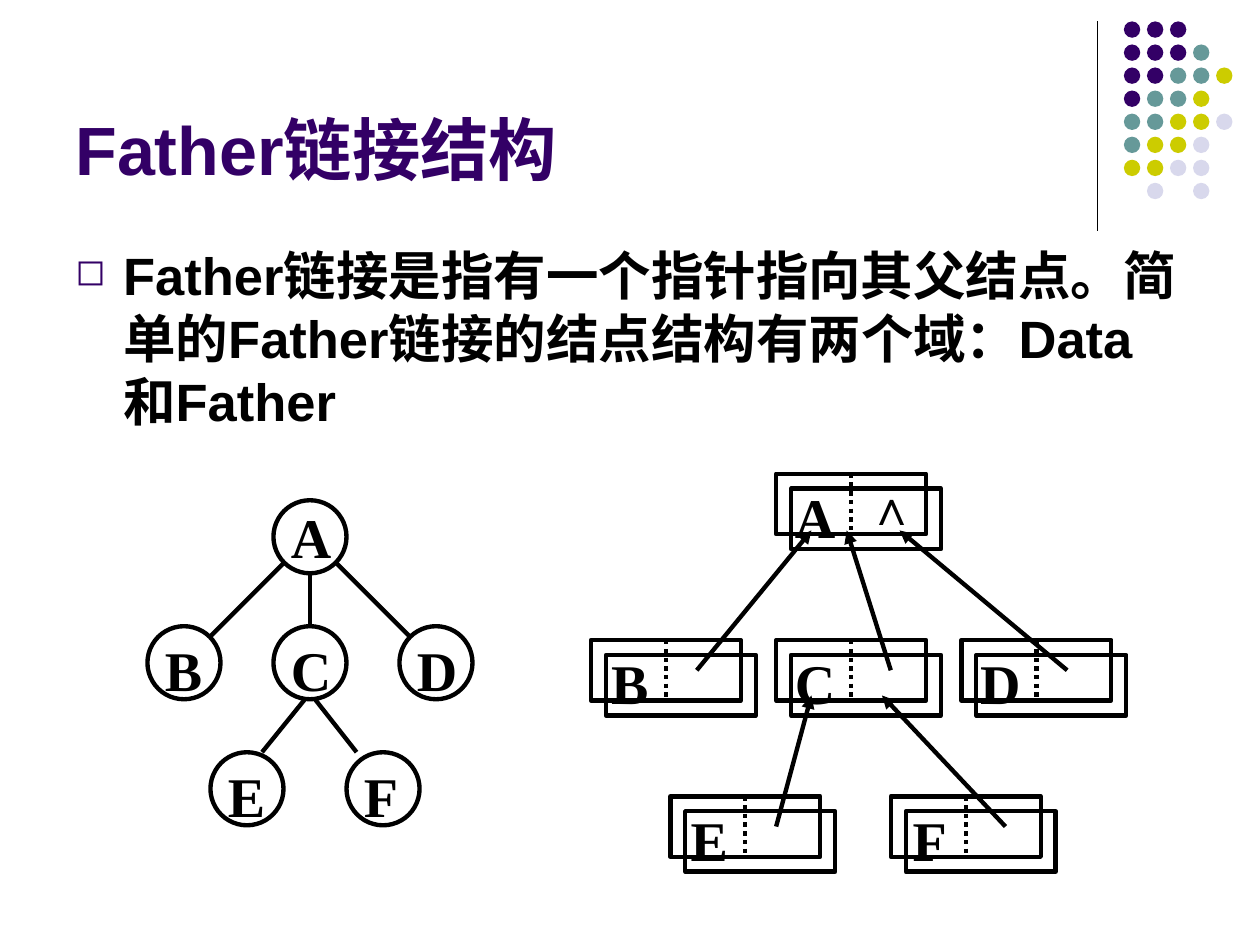
import pptx
import pptx.dml.color
import pptx.enum.dml
import pptx.enum.shapes
import pptx.enum.text
import pptx.oxml
import pptx.oxml.ns
import pptx.util
from pptx.util import Inches

BLACK, PURPLE = "000000", "330066"
DOT_COLORS = {"P": PURPLE, "T": "669999", "Y": "CCCC00", "L": "D8D8EC"}
DOT_ROWS = ["PPP", "PPPT", "PPTTY", "PTTY", "TTYYL", "TYYL", "YYLL", " L L"]
SERIF = "Times New Roman"


def rgb(color):
    return pptx.dml.color.RGBColor.from_string(color)


def add_xml(parent, tag, content="", **attributes):
    """Append a DrawingML element, with optional inner XML, to parent."""
    values = " ".join(f'{name}="{value}"' for name, value in attributes.items())
    namespace = pptx.oxml.ns.nsdecls("a")
    parent.append(pptx.oxml.parse_xml(f"<a:{tag} {namespace} {values}>{content}</a:{tag}>"))


def add_text(slide, text, left, top, width, height, size, font_name="Arial", color=BLACK, inset_top=0.05):
    shape = slide.shapes.add_textbox(Inches(left), Inches(top), Inches(width), Inches(height))
    frame = shape.text_frame
    frame.word_wrap = True
    frame.margin_top = Inches(inset_top)
    frame.text = text
    font = frame.paragraphs[0].runs[0].font
    font.name, font.size, font.bold = font_name, pptx.util.Pt(size), True
    font.color.rgb = rgb(color)
    return shape


def add_outline(slide, kind, left, top, width, height):
    shape = slide.shapes.add_shape(kind, Inches(left), Inches(top), Inches(width), Inches(height))
    shape.shadow.inherit = False
    shape.fill.background()
    shape.line.color.rgb = rgb(BLACK)
    shape.line.width = pptx.util.Pt(2.5)
    return shape


def add_line(slide, x1, y1, x2, y2, width=2.5, arrow=False):
    line = slide.shapes.add_connector(
        pptx.enum.shapes.MSO_CONNECTOR.STRAIGHT, Inches(x1), Inches(y1), Inches(x2), Inches(y2))
    line.line.color.rgb = rgb(BLACK)
    line.line.width = pptx.util.Pt(width)
    if arrow:
        add_xml(line.line._get_or_add_ln(), "tailEnd", type="triangle")
    add_xml(line._element.spPr, "effectLst")
    return line


def add_dot_pattern(slide, left, top):
    pitch, size = 0.183, 0.13
    for row, codes in enumerate(DOT_ROWS):
        for column, code in enumerate(codes):
            if code == " ":
                continue
            dot = slide.shapes.add_shape(
                pptx.enum.shapes.MSO_SHAPE.OVAL, Inches(left + column * pitch),
                Inches(top + row * pitch), Inches(size), Inches(size))
            dot.shadow.inherit = False
            dot.fill.solid()
            dot.fill.fore_color.rgb = rgb(DOT_COLORS[code])
            dot.line.fill.background()


def add_title(slide, left, top, width, height):
    title = add_text(slide, "Father链接结构", left, top, width, height, 39, color=PURPLE)
    title.text_frame.vertical_anchor = pptx.enum.text.MSO_ANCHOR.BOTTOM


def add_body(slide, left, top, width, height):
    text = "Father链接是指有一个指针指向其父结点。简单的Father链接的结点结构有两个域：Data和Father"
    body = add_text(slide, text, left, top, width, height, 30)
    properties = body.text_frame.paragraphs[0]._p.get_or_add_pPr()
    properties.set("marL", str(Inches(0.38)))
    properties.set("indent", str(-Inches(0.38)))
    add_xml(properties, "buClr", f'<a:srgbClr val="{PURPLE}"/>')
    add_xml(properties, "buSzPct", val="70000")
    add_xml(properties, "buChar", char="◻")


def add_tree(slide, left, top):
    """Draw the tree of circles joined by plain edges."""
    diameter = 0.58
    nodes = {"A": (1, 0), "C": (1, 1), "B": (0, 1), "F": (1.58, 2), "D": (2, 1), "E": (0.5, 2)}
    edges = [(1.29, 0.58, 1.29, 1), (1.08, 0.5, 0.5, 1.08), (1.5, 0.5, 2.08, 1.08),
             (1.25, 1.58, 0.91, 2), (1.33, 1.58, 1.66, 2)]
    for name, (x, y) in nodes.items():
        add_outline(slide, pptx.enum.shapes.MSO_SHAPE.OVAL, left + x, top + y, diameter, diameter)
        inset_top = 0.1 if y == 0 else 0.15
        add_text(slide, name, left + x + 0.04, top + y - 0.08, diameter, 0.69, 32, SERIF,
                 inset_top=inset_top)
    for x1, y1, x2, y2 in edges:
        add_line(slide, left + x1, top + y1, left + x2, top + y2)


def add_record(slide, name, left, top):
    """Draw one node record: a data field and a father field."""
    width, height = 1.19, 0.48
    box = add_outline(slide, pptx.enum.shapes.MSO_SHAPE.RECTANGLE, left, top, width, height)
    effects = box._element.spPr.find(pptx.oxml.ns.qn("a:effectLst"))
    add_xml(effects, "outerShdw", f'<a:srgbClr val="{BLACK}"/>', dist=pptx.util.Pt(12.1),
            dir=45 * 60000, algn="ctr", rotWithShape=0)
    divider = add_line(slide, left + width / 2, top, left + width / 2, top + height)
    divider.line.dash_style = pptx.enum.dml.MSO_LINE.ROUND_DOT
    label = add_text(slide, name, left + 0.03, top - 0.03, 0.56, 0.64, 32, SERIF, inset_top=0.1)
    label.text_frame.paragraphs[0].alignment = pptx.enum.text.PP_ALIGN.CENTER


def add_linked_records(slide, left, top):
    """Draw the records with arrows from each child to its father."""
    records = {"A": (1.47, 0), "C": (1.47, 1.32), "B": (0, 1.32), "D": (2.94, 1.32),
               "F": (2.38, 2.56), "E": (0.63, 2.56)}
    arrows = [(0.84, 1.56, 1.75, 0.45), (2.38, 1.56, 2.03, 0.45), (3.78, 1.56, 2.45, 0.45),
              (1.47, 2.8, 1.75, 1.76), (3.29, 2.8, 2.31, 1.76)]
    for name, (x, y) in records.items():
        add_record(slide, name, left + x, top + y)
    for x1, y1, x2, y2 in arrows:
        add_line(slide, left + x1, top + y1, left + x2, top + y2, arrow=True)
    null_mark = add_text(slide, "∧", left + 2.1, top - 0.03, 0.59, 0.57, 28, SERIF)
    null_mark.text_frame.word_wrap = False


def main():
    presentation = pptx.Presentation()
    presentation.slide_width, presentation.slide_height = Inches(10), Inches(7.5)
    slide = presentation.slides.add_slide(presentation.slide_layouts[6])
    add_line(slide, 8.71, 0.17, 8.71, 1.83, width=0.75)
    add_dot_pattern(slide, 8.92, 0.17)
    add_title(slide, 0.5, 0.13, 8.25, 1.42)
    add_body(slide, 0.5, 1.88, 9, 4.82)
    add_tree(slide, 1.17, 3.97)
    add_linked_records(slide, 4.69, 3.76)
    presentation.save("out.pptx")


if __name__ == "__main__":
    main()
